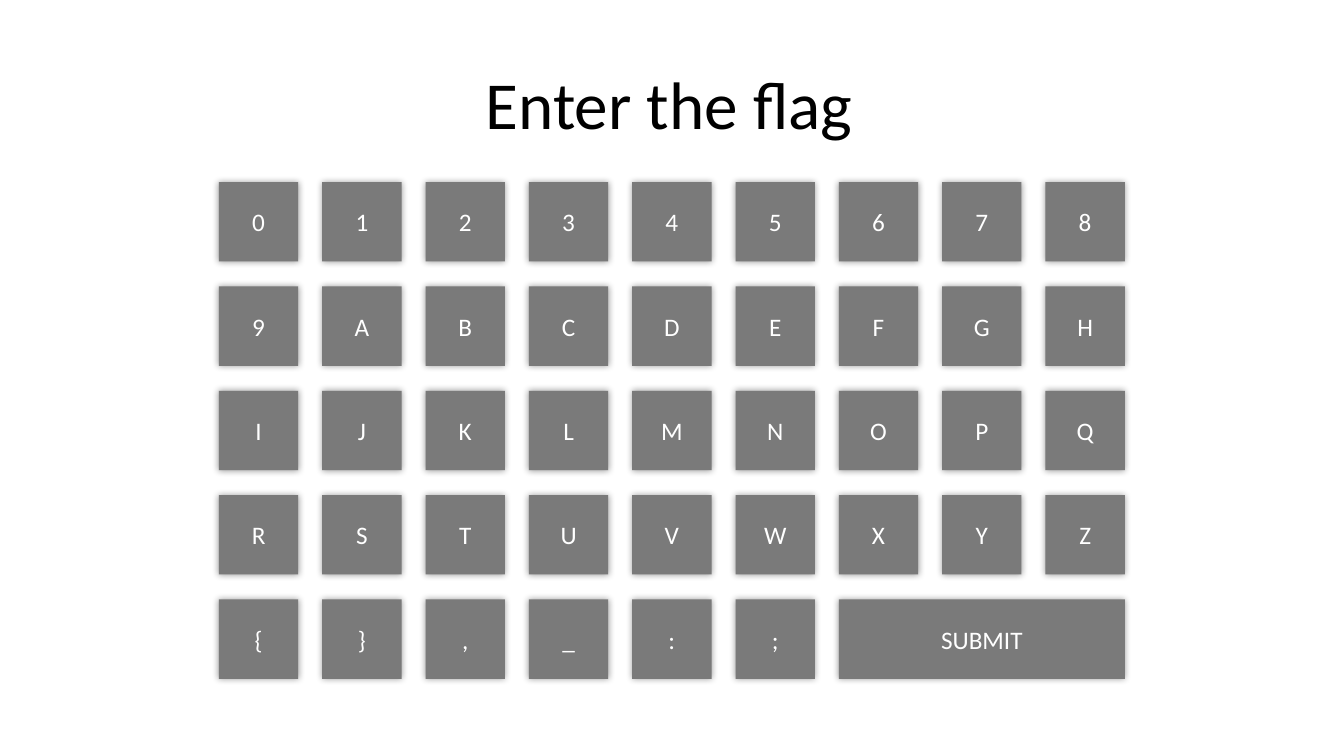
from lxml import etree
from pptx import Presentation
from pptx.dml.color import RGBColor
from pptx.enum.shapes import MSO_SHAPE
from pptx.enum.text import MSO_ANCHOR, MSO_AUTO_SIZE, PP_ALIGN
from pptx.oxml.ns import qn
from pptx.util import Pt

RECTANGLE = MSO_SHAPE.RECTANGLE
LEFT, CENTER = PP_ALIGN.LEFT, PP_ALIGN.CENTER
TOP, MIDDLE = MSO_ANCHOR.TOP, MSO_ANCHOR.MIDDLE
GROW = MSO_AUTO_SIZE.SHAPE_TO_FIT_TEXT

FONT = "Calibri"
COLORS = {"title": "000000", "key": "7A7A7A", "label": "FFFFFF", "shadow": "000000"}

KEY_ROWS = ["012345678", "9ABCDEFGH", "IJKLMNOPQ", "RSTUVWXYZ", "{},_:;"]
COLUMNS = 9
KEY_SIZE = 56.7


def write(frame, text, size, color, align=LEFT, anchor=TOP, wrap=True):
    frame.word_wrap = wrap
    frame.vertical_anchor = anchor
    paragraph = frame.paragraphs[0]
    paragraph.alignment = align
    run = paragraph.add_run()
    run.text = text
    run.font.name = FONT
    run.font.size = Pt(size)
    run.font.color.rgb = RGBColor.from_string(COLORS[color])


def add_glow(shape, blur=5, opacity=40):
    """Give the shape a soft shadow on all sides."""
    shape.shadow.inherit = False
    effects = shape._element.spPr.find(qn("a:effectLst"))
    shadow = etree.SubElement(effects, qn("a:outerShdw"), blurRad=str(Pt(blur)),
                              dist="0", dir="0", algn="ctr", rotWithShape="0")
    color = etree.SubElement(shadow, qn("a:srgbClr"), val=COLORS["shadow"])
    etree.SubElement(color, qn("a:alpha"), val=str(opacity * 1000))


def add_title(slide, left, top, width, height):
    title = slide.shapes.add_textbox(Pt(left), Pt(top), Pt(width), Pt(height))
    write(title.text_frame, "Enter the flag", 48, "title", wrap=False)
    title.text_frame.auto_size = GROW


def add_key(slide, label, left, top, width):
    key = slide.shapes.add_shape(RECTANGLE, Pt(left), Pt(top), Pt(width), Pt(KEY_SIZE))
    key.fill.solid()
    key.fill.fore_color.rgb = RGBColor.from_string(COLORS["key"])
    key.line.fill.background()
    add_glow(key)
    write(key.text_frame, label, 18, "label", align=CENTER, anchor=MIDDLE)


def add_keypad(slide, left, top, width, height):
    column_step = (width - KEY_SIZE) / (COLUMNS - 1)
    row_step = (height - KEY_SIZE) / (len(KEY_ROWS) - 1)
    for row, labels in enumerate(KEY_ROWS):
        for column, label in enumerate(labels):
            add_key(slide, label, left + column * column_step, top + row * row_step, KEY_SIZE)

    # Submit key fills the rest of the last row
    submit_offset = len(KEY_ROWS[-1]) * column_step
    add_key(slide, "SUBMIT", left + submit_offset, top + height - KEY_SIZE,
            width - submit_offset)


def main():
    deck = Presentation()
    deck.slide_width, deck.slide_height = Pt(960), Pt(540)
    slide = deck.slides.add_slide(deck.slide_layouts[6])
    add_title(slide, 339.8, 41, 280, 65.5)
    add_keypad(slide, 156.4, 130.1, 647.1, 354.8)
    deck.save("out.pptx")


if __name__ == "__main__":
    main()
